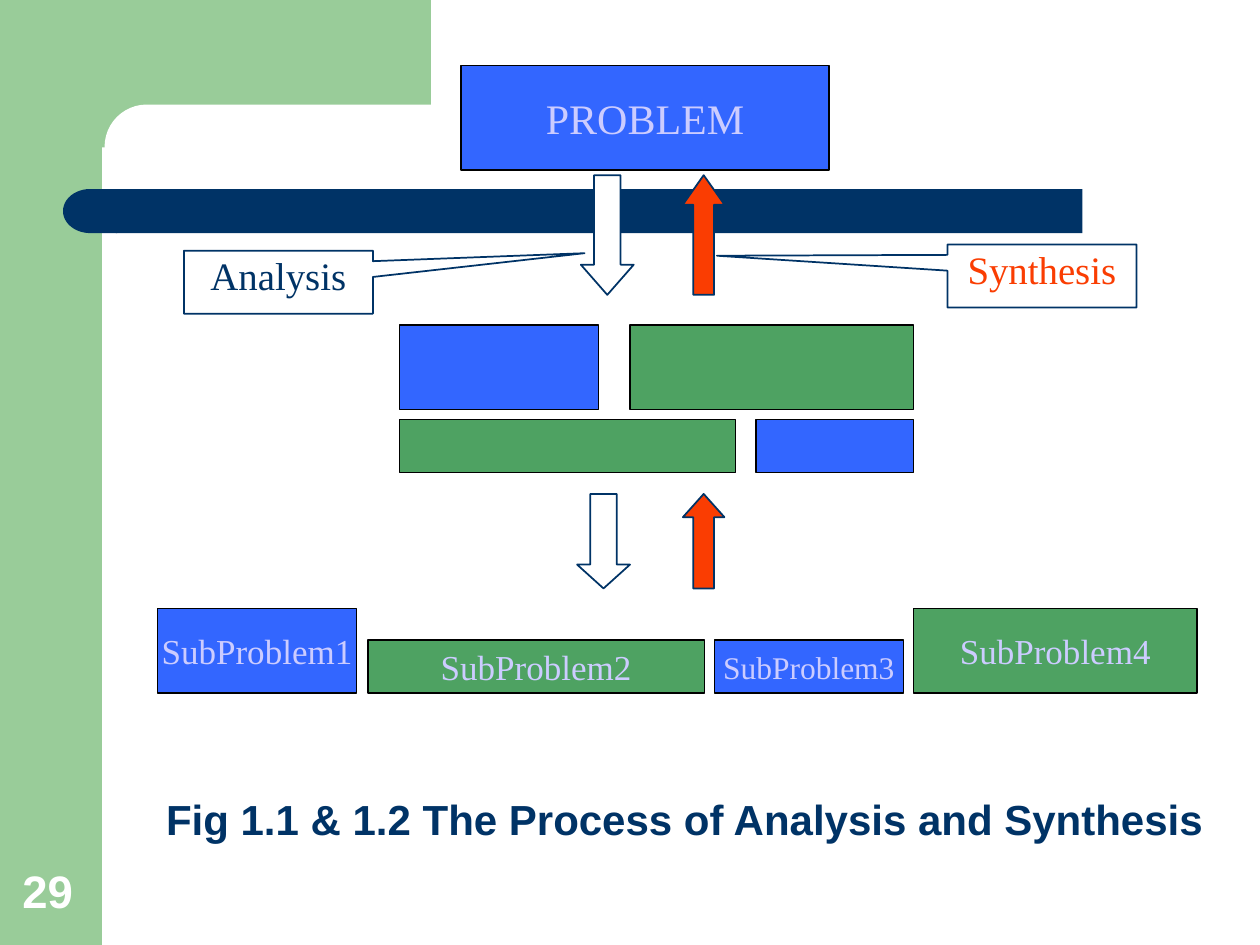
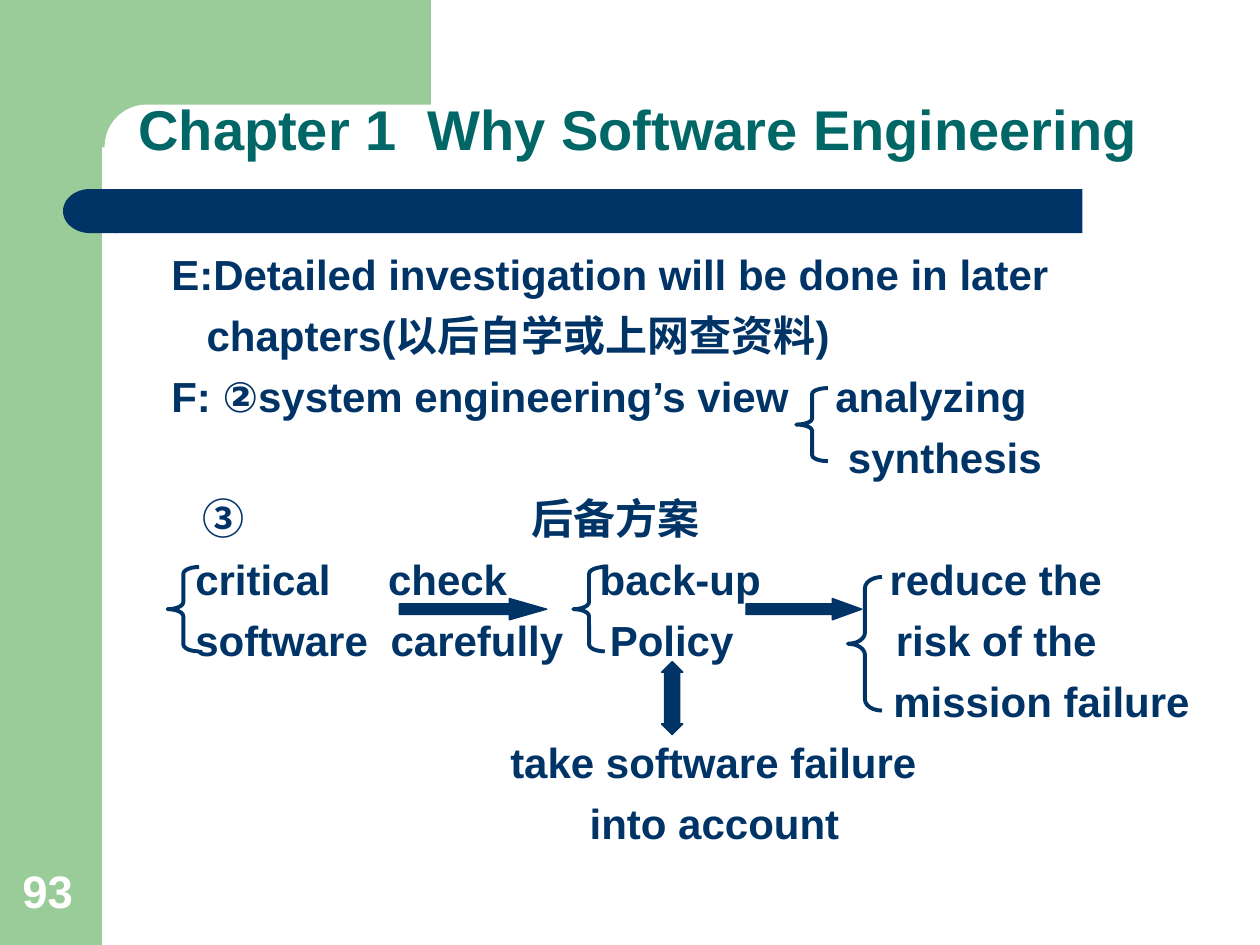
from lxml.etree import SubElement
from pptx import Presentation
from pptx.dml.color import RGBColor
from pptx.enum.shapes import MSO_SHAPE
from pptx.enum.text import MSO_ANCHOR, PP_ALIGN
from pptx.oxml.ns import qn
from pptx.util import Inches, Pt

WHITE = RGBColor(0xFF, 0xFF, 0xFF)
BLACK = RGBColor(0, 0, 0)
NAVY = RGBColor(0x00, 0x33, 0x66)
TEAL = RGBColor(0x00, 0x66, 0x66)
PALE_GREEN = RGBColor(0x99, 0xCC, 0x99)
GREEN = RGBColor(0x4E, 0xA2, 0x62)
BLUE = RGBColor(0x33, 0x66, 0xFF)
LAVENDER = RGBColor(0xCC, 0xCC, 0xFF)
ORANGE = RGBColor(0xFA, 0x3D, 0x02)
SANS, SERIF = "Arial", "Times New Roman"

BODY_LEFT = 1.36
BODY_ROWS = [
    [(1.36, "E:Detailed investigation will be done in later")],
    [(1.64, "chapters(以后自学或上网查资料)")],
    [(1.36, "F: ②system engineering’s view"), (6.63, "analyzing")],
    [(6.73, "synthesis")],
    [(1.61, "③"), (4.22, "后备方案")],
    [(1.55, "critical"), (3.08, "check"), (4.76, "back-up"), (7.06, "reduce the")],
    [(1.55, "software"), (3.1, "carefully"), (4.84, "Policy"), (7.11, "risk of the")],
    [(7.09, "mission failure")],
    [(4.05, "take software failure")],
    [(4.68, "into account")],
]


def format_run(p, size, color, font=SANS, bold=False):
    """Give every run of a paragraph its font, size and colour."""
    for r in p.runs:
        r.font.name = font
        r.font.size = Pt(size)
        r.font.bold = bold
        r.font.color.rgb = color


def add_figure(s, kind, box, fill=None, line=None, width=0.75, adj=()):
    """Add a flat preset shape with optional fill and outline."""
    sp = s.shapes.add_shape(kind, *map(Inches, box))
    sp.shadow.inherit = False
    if fill is None:
        sp.fill.background()
    else:
        sp.fill.solid()
        sp.fill.fore_color.rgb = fill
    if line is None:
        sp.line.fill.background()
    else:
        sp.line.color.rgb = line
        sp.line.width = Pt(width)
    for i, value in enumerate(adj):
        sp.adjustments[i] = value
    return sp


def add_label(s, box, text, size, color):
    """Add a bold text box standing on its bottom edge."""
    tf = s.shapes.add_textbox(*map(Inches, box)).text_frame
    tf.word_wrap = True
    tf.vertical_anchor = MSO_ANCHOR.BOTTOM
    tf.text = text
    p = tf.paragraphs[0]
    p.line_spacing = 0.9
    format_run(p, size, color, bold=True)


def add_block(s, box, fill, text="", size=20):
    """Add an outlined problem block with an optional centred caption."""
    sp = add_figure(s, MSO_SHAPE.RECTANGLE, box, fill, BLACK)
    if text:
        tf = sp.text_frame
        tf.word_wrap = False
        tf.vertical_anchor = MSO_ANCHOR.MIDDLE
        tf.text = text
        p = tf.paragraphs[0]
        p.alignment = PP_ALIGN.CENTER
        format_run(p, size, LAVENDER, SERIF)


def add_callout(s, left, top, adj, text, color):
    """Add a callout whose tip points at an arrow."""
    sp = add_figure(s, MSO_SHAPE.RECTANGULAR_CALLOUT, (left, top, 1.5, 0.5),
                    WHITE, NAVY, 1, adj)
    tf = sp.text_frame
    tf.vertical_anchor = MSO_ANCHOR.TOP
    tf.text = text
    p = tf.paragraphs[0]
    p.alignment = PP_ALIGN.CENTER
    p.line_spacing = 0.9
    format_run(p, 22.2, color, SERIF)


def add_body(s, rows):
    """Add the text rows, each cell placed by its own tab stop."""
    tf = s.shapes.add_textbox(Inches(BODY_LEFT), Inches(1.89),
                              Inches(8.39), Inches(5.3)).text_frame
    tf.word_wrap = True
    tf.margin_left = tf.margin_top = tf.margin_right = 0
    for i, row in enumerate(rows):
        p = tf.paragraphs[0] if i == 0 else tf.add_paragraph()
        p.text = "".join(text if x == BODY_LEFT else "\t" + text for x, text in row)
        p.line_spacing = Pt(34.86)
        stops = SubElement(p._p.get_or_add_pPr(), qn("a:tabLst"))
        for x, _ in row:
            if x > BODY_LEFT:
                SubElement(stops, qn("a:tab"), pos=str(Inches(x - BODY_LEFT)), algn="l")
        format_run(p, 24, NAVY, bold=True)


def add_base(prs, number):
    """Add a slide with the green frame, navy bar and page number."""
    s = prs.slides.add_slide(prs.slide_layouts[6])
    add_figure(s, MSO_SHAPE.RECTANGLE, (0, 0, 0.81, 7.5), PALE_GREEN)
    add_figure(s, MSO_SHAPE.RECTANGLE, (0.73, 0, 2.69, 1.17), PALE_GREEN)
    add_figure(s, MSO_SHAPE.ROUNDED_RECTANGLE, (0.83, 0.83, 5.58, 0.67), WHITE, adj=[0.5])
    add_figure(s, MSO_SHAPE.RECTANGLE, (0.92, 1.5, 7.67, 0.35), NAVY)
    cap = add_figure(s, MSO_SHAPE.FLOWCHART_DELAY, (0.5, 1.5, 0.43, 0.35), NAVY)
    cap.rotation = 180
    add_label(s, (0.08, 6.8, 0.64, 0.54), str(number), 26, WHITE)
    return s


def build_process(prs):
    """Build the analysis and synthesis diagram."""
    s = add_base(prs, 29)
    add_label(s, (1.22, 6.08, 8.67, 0.67),
              "Fig 1.1 & 1.2 The Process of Analysis and Synthesis", 24, NAVY)
    add_block(s, (3.66, 0.52, 2.92, 0.83), BLUE, "PROBLEM", 24)
    add_block(s, (3.17, 2.58, 1.58, 0.67), BLUE)
    add_block(s, (5, 2.58, 2.25, 0.67), GREEN)
    add_block(s, (3.17, 3.33, 2.67, 0.42), GREEN)
    add_block(s, (6, 3.33, 1.25, 0.42), BLUE)
    subproblems = [(1.25, 1.58, 0.67, BLUE, 20), (2.92, 2.67, 0.42, GREEN, 20),
                   (5.67, 1.5, 0.42, BLUE, 18), (7.25, 2.25, 0.67, GREEN, 20)]
    for n, (left, width, height, fill, size) in enumerate(subproblems, 1):
        add_block(s, (left, 5.5 - height, width, height), fill, f"SubProblem{n}", size)
    for left, top, height, down, up in [(4.61, 1.39, 0.95, 0.57, 0.71),
                                        (4.58, 3.92, 0.75, 0.45, 0.56)]:
        add_figure(s, MSO_SHAPE.DOWN_ARROW, (left, top, 0.42, height),
                   WHITE, NAVY, 1, [0.5, down])
        add_figure(s, MSO_SHAPE.UP_ARROW, (5.42, top, 0.33, height),
                   ORANGE, NAVY, 1, [0.5, up])
    add_callout(s, 1.46, 1.99, [1.62, -0.46], "Analysis", NAVY)
    add_callout(s, 7.52, 1.94, [-1.72, -0.32], "Synthesis", ORANGE)


def build_chapter(prs):
    """Build the chapter text with its braces and arrows."""
    s = add_base(prs, 93)
    add_label(s, (1, 0.42, 8.75, 0.92), "Chapter 1  Why Software Engineering", 32, TEAL)
    add_body(s, BODY_ROWS)
    for box in [(6.32, 3.08, 0.25, 0.58), (1.33, 4.5, 0.25, 0.67),
                (4.55, 4.5, 0.25, 0.67), (6.73, 4.58, 0.27, 1.06)]:
        add_figure(s, MSO_SHAPE.LEFT_BRACE, box, None, NAVY, 2.25,
                   [0.083 * box[3] / box[2], 0.5])
    for kind, box, head in [(MSO_SHAPE.RIGHT_ARROW, (3.17, 4.75, 1.17, 0.17), 1.75),
                            (MSO_SHAPE.RIGHT_ARROW, (5.92, 4.75, 0.92, 0.17), 1.38),
                            (MSO_SHAPE.UP_DOWN_ARROW, (5.25, 5.25, 0.17, 0.58), 0.7)]:
        add_figure(s, kind, box, NAVY, NAVY, adj=[0.5, head])


def main():
    """Build both slides and save them."""
    prs = Presentation()
    prs.slide_width, prs.slide_height = Inches(10), Inches(7.5)
    build_process(prs)
    build_chapter(prs)
    prs.save("out.pptx")


if __name__ == "__main__":
    main()
